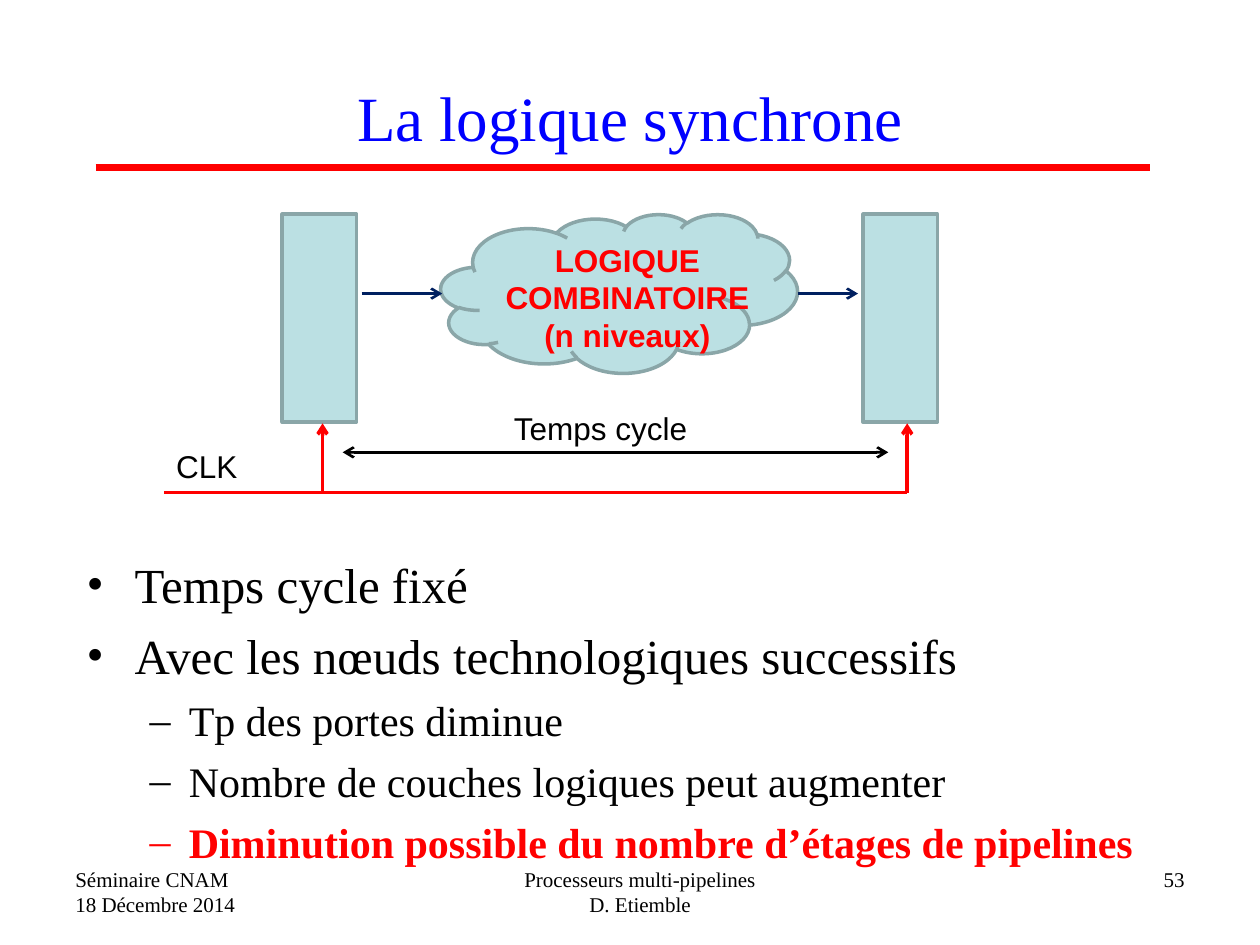
from lxml.etree import SubElement
from pptx import Presentation
from pptx.dml.color import RGBColor
from pptx.enum.shapes import MSO_CONNECTOR as Connector, MSO_SHAPE as Shape
from pptx.enum.text import MSO_ANCHOR as Anchor, PP_ALIGN as Align
from pptx.oxml.ns import qn
from pptx.util import Inches, Pt

COLORS = {
    "title": "0000FF",
    "accent": "FF0000",
    "text": "000000",
    "block": "BBE0E3",
    "outline": "8AA6A8",
    "data": "002060",
}
SERIF, SANS = "Times New Roman", "Arial"
BULLETS = {
    0: {"char": "•", "left": 0.38, "hang": 0.38, "size": 28, "before": 7},
    1: {"char": "–", "left": 0.81, "hang": 0.31, "size": 24, "before": 6},
}
POINTS = [
    (0, "Temps cycle fixé", {}),
    (0, "Avec les nœuds technologiques successifs", {}),
    (1, "Tp des portes diminue", {}),
    (1, "Nombre de couches logiques peut augmenter", {}),
    (1, "Diminution possible du nombre d’étages de pipelines",
     {"color": "accent", "bold": True}),
]


def rgb(name):
    return RGBColor.from_string(COLORS[name])


def format_font(font, size, name=SERIF, color="text", bold=False):
    values = {"size": Pt(size), "name": name, "bold": bold}
    for attribute, value in values.items():
        setattr(font, attribute, value)
    font.color.rgb = rgb(color)


def add_text(slide, box, lines, size, align=Align.LEFT, wrap=True, **style):
    frame = slide.shapes.add_textbox(*map(Inches, box)).text_frame
    frame.word_wrap = wrap
    frame.text = "\n".join(lines)
    for paragraph in frame.paragraphs:
        paragraph.alignment = align
        format_font(paragraph.font, size, **style)


def add_block(slide, kind, box):
    block = slide.shapes.add_shape(kind, *map(Inches, box))
    block.shadow.inherit = False
    block.fill.solid()
    block.fill.fore_color.rgb = rgb("block")
    block.line.color.rgb = rgb("outline")
    block.line.width = Pt(2)


def add_line(slide, start, end, color, width, arrows=()):
    connector = slide.shapes.add_connector(
        Connector.STRAIGHT, *map(Inches, (*start, *end)))
    connector.line.color.rgb = rgb(color)
    connector.line.width = Pt(width)
    outline = connector.line._get_or_add_ln()
    for arrow in arrows:
        SubElement(outline, qn(f"a:{arrow}"), type="arrow")
    SubElement(connector._element.spPr, qn("a:effectLst"))


def add_title(slide, text):
    title = slide.shapes.title
    box = {"left": 0.5, "top": 0.3, "width": 9, "height": 1.25}
    for attribute, value in box.items():
        setattr(title, attribute, Inches(value))
    title.text_frame.text = text
    title.text_frame.vertical_anchor = Anchor.MIDDLE
    paragraph = title.text_frame.paragraphs[0]
    paragraph.alignment = Align.CENTER
    format_font(paragraph.font, 36, color="title")
    add_line(slide, (0.76, 1.33), (9.13, 1.33), "accent", 3.75)


def add_points(slide):
    box = map(Inches, (0.59, 4.35, 9, 2.55))
    frame = slide.shapes.add_textbox(*box).text_frame
    frame.word_wrap = True
    frame.text = "\n".join(text for _, text, _ in POINTS)
    for index, (level, _, style) in enumerate(POINTS):
        bullet = BULLETS[level]
        paragraph = frame.paragraphs[index]
        paragraph.level = level
        properties = paragraph._p.get_or_add_pPr()
        properties.set("marL", str(Inches(bullet["left"])))
        properties.set("indent", str(-Inches(bullet["hang"])))
        SubElement(properties, qn("a:buFont"), typeface=SERIF)
        SubElement(properties, qn("a:buChar"), char=bullet["char"])
        if index:
            paragraph.space_before = Pt(bullet["before"])
        format_font(paragraph.font, bullet["size"], **style)


def add_circuit(slide):
    clock_y, data_y = 3.91, 2.33
    clock_taps = (2.56, 7.2)
    for register_x in (2.24, 6.85):
        add_block(slide, Shape.RECTANGLE, (register_x, 1.7, 0.59, 1.65))
    add_block(slide, Shape.CLOUD, (3.5, 1.7, 2.83, 1.26))
    add_text(slide, (3.9, 1.86, 2.16, 1.01),
             ["LOGIQUE", "COMBINATOIRE", "(n niveaux)"], 18, Align.CENTER,
             wrap=False, name=SANS, color="accent", bold=True)
    for tap_x in clock_taps:
        add_line(slide, (tap_x, clock_y), (tap_x, 3.36), "accent", 2,
                 ["tailEnd"])
    add_line(slide, (1.3, clock_y), (clock_taps[-1], clock_y), "accent", 2)
    add_text(slide, (1.3, 3.5, 0.69, 0.4), ["CLK"], 18, name=SANS)
    add_line(slide, (2.72, 3.59), (7.05, 3.59), "text", 1.5,
             ["headEnd", "tailEnd"])
    add_text(slide, (3.98, 3.2, 1.59, 0.4), ["Temps cycle"], 18,
             wrap=False, name=SANS)
    for start_x, end_x in ((2.87, 3.51), (6.33, 6.81)):
        add_line(slide, (start_x, data_y), (end_x, data_y), "data", 1.5,
                 ["tailEnd"])


def add_footer(slide):
    entries = [
        (0.5, 2.33, ["Séminaire CNAM", "18 Décembre 2014"], Align.LEFT),
        (3.42, 3.32, ["Processeurs multi-pipelines", "D. Etiemble"],
         Align.CENTER),
        (7.17, 2.33, ["53"], Align.RIGHT),
    ]
    for left, width, lines, align in entries:
        add_text(slide, (left, 6.83, width, 0.52), lines, 12, align)


def main():
    presentation = Presentation()
    presentation.slide_width = Inches(10)
    presentation.slide_height = Inches(7.5)
    slide = presentation.slides.add_slide(presentation.slide_layouts[5])
    add_title(slide, "La logique synchrone")
    add_points(slide)
    add_circuit(slide)
    add_footer(slide)
    presentation.save("out.pptx")


if __name__ == "__main__":
    main()
